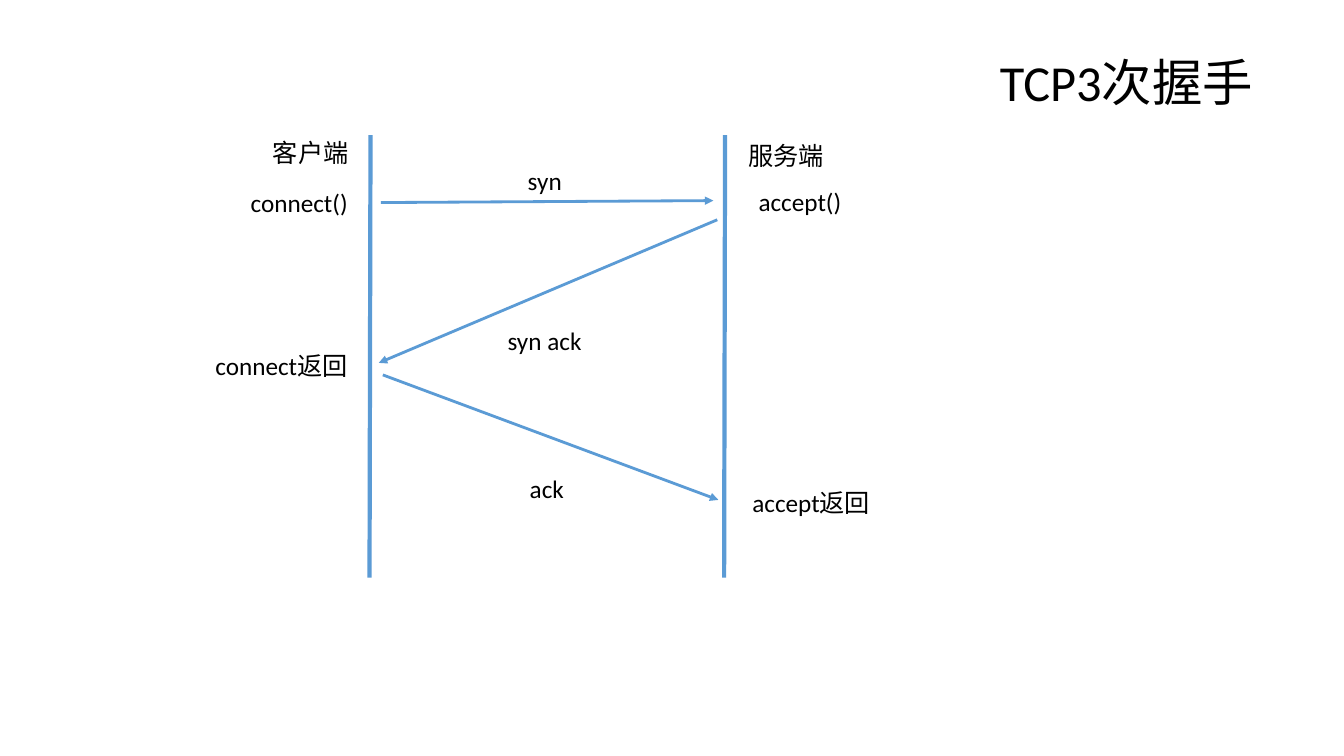
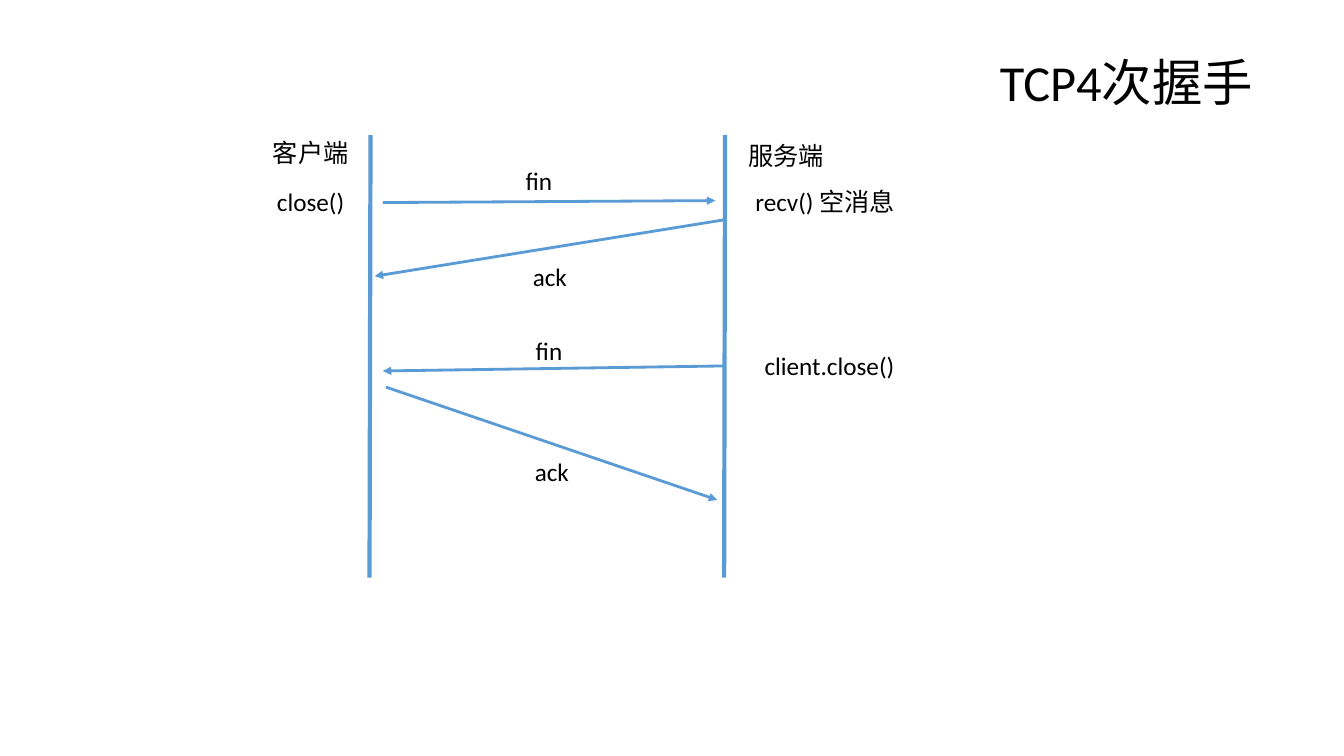
from pptx import Presentation
from pptx.dml.color import RGBColor
from pptx.enum.lang import MSO_LANGUAGE_ID
from pptx.enum.shapes import MSO_CONNECTOR
from pptx.enum.text import MSO_AUTO_SIZE
from pptx.oxml.ns import qn
from pptx.util import Pt
from lxml.etree import SubElement

# Shared style, all lengths in points
BLUE = RGBColor(0x5B, 0x9B, 0xD5)
BLACK = RGBColor(0x00, 0x00, 0x00)
FONT = "Calibri"
LABEL_SIZE, TITLE_SIZE = 18, 36
LABEL_HEIGHT, TITLE_HEIGHT = 28.8, 50.4
LIFELINE_TOP, LIFELINE_BOTTOM = 96.5, 412.6
LIFELINE_XS = (264.8, 518.2)
LIFELINE_LEAN = 0.7

# Labels: text, left, top, width (with a little room to spare)
PARTIES = [("客户端", 187.9, 94.3, 70), ("服务端", 527.8, 96.5, 70)]

# Messages: start point, end point, label
HANDSHAKE = {
    "title": "TCP3次握手",
    "messages": [
        ((272.2, 144.7), (509.8, 143.3), ("syn", 370.1, 114.5, 41)),
        ((512.6, 157), (270.7, 259.2), ("syn ack", 355.7, 229, 70)),
        ((273.6, 267.8), (513.4, 357.1), ("ack", 371.5, 334.4, 41)),
    ],
    "calls": [
        ("connect()", 172.1, 130.3, 87),
        ("accept()", 535, 129.6, 76),
        ("connect返回", 146.9, 246.6, 115),
        ("accept返回", 530.6, 344.2, 105),
    ],
}
CLOSING = {
    "title": "TCP4次握手",
    "messages": [
        ((273.6, 144.7), (511.2, 143.3), ("fin", 368.6, 114.5, 36)),
        ((517.7, 157), (267.8, 197.3), ("ack", 373.7, 182.9, 41)),
        ((517.7, 261.4), (273.6, 265), ("fin", 375.8, 236.2, 36)),
        ((275.8, 276.5), (512.6, 357.1), ("ack", 375.1, 322.6, 41)),
    ],
    "calls": [
        ("close()", 190.8, 129.6, 65),
        ("recv() 空消息", 532.8, 129.6, 125),
        ("client.close()", 539.3, 246.6, 110),
    ],
}


def add_text(page, text, *, left, top, width, height=LABEL_HEIGHT, size=LABEL_SIZE):
    box = page.shapes.add_textbox(Pt(left), Pt(top), Pt(width), Pt(height))
    frame = box.text_frame
    frame.word_wrap = False
    frame.auto_size = MSO_AUTO_SIZE.SHAPE_TO_FIT_TEXT
    span = frame.paragraphs[0].add_run()
    span.text = text
    span.font.name = FONT
    span.font.size = Pt(size)
    span.font.color.rgb = BLACK
    span.font.language_id = MSO_LANGUAGE_ID.SIMPLIFIED_CHINESE


def add_label(page, label):
    text, left, top, width = label
    add_text(page, text, left=left, top=top, width=width)


def add_line(page, start, end, *, weight, arrow=False):
    points = [Pt(value) for value in (*start, *end)]
    line = page.shapes.add_connector(MSO_CONNECTOR.STRAIGHT, *points)
    line.line.color.rgb = BLUE
    line.line.width = Pt(weight)
    properties = line._element.spPr
    if arrow:
        SubElement(properties.find(qn("a:ln")), qn("a:tailEnd"), type="triangle")
    # An empty effect list removes the theme shadow
    SubElement(properties, qn("a:effectLst"))


def add_sequence(deck, sequence):
    page = deck.slides.add_slide(deck.slide_layouts[6])

    # Lifelines
    for x in LIFELINE_XS:
        add_line(page, (x, LIFELINE_TOP), (x - LIFELINE_LEAN, LIFELINE_BOTTOM), weight=3)

    # Messages between client and server
    for start, end, label in sequence["messages"]:
        add_line(page, start, end, weight=2, arrow=True)
        add_label(page, label)

    # Parties and their calls
    for label in PARTIES + sequence["calls"]:
        add_label(page, label)

    # Title
    add_text(page, sequence["title"], left=707.5, top=32.8, width=206,
             height=TITLE_HEIGHT, size=TITLE_SIZE)


def main():
    deck = Presentation()
    deck.slide_width, deck.slide_height = Pt(960.48), Pt(540)
    for sequence in (HANDSHAKE, CLOSING):
        add_sequence(deck, sequence)
    deck.save("out.pptx")


if __name__ == "__main__":
    main()
